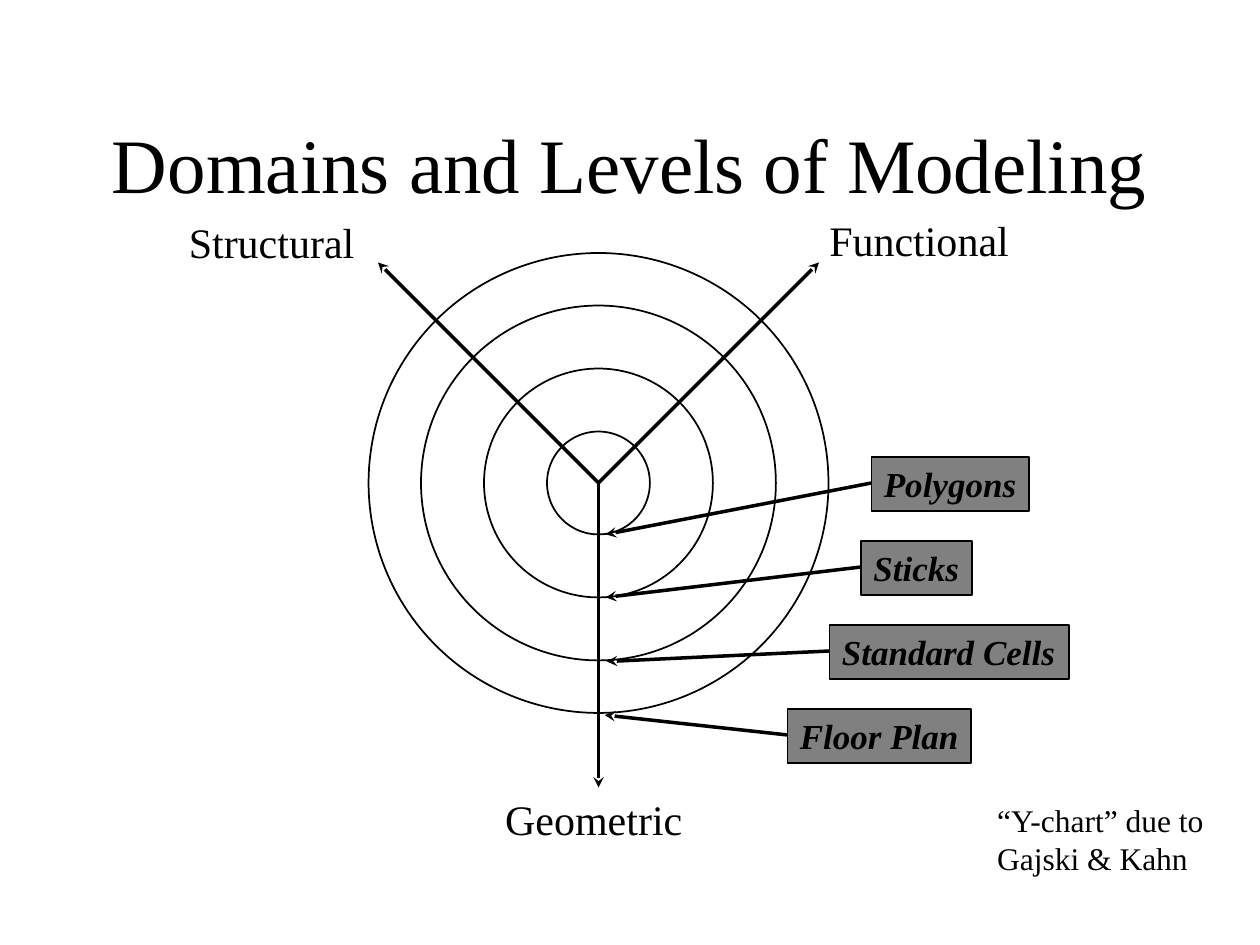
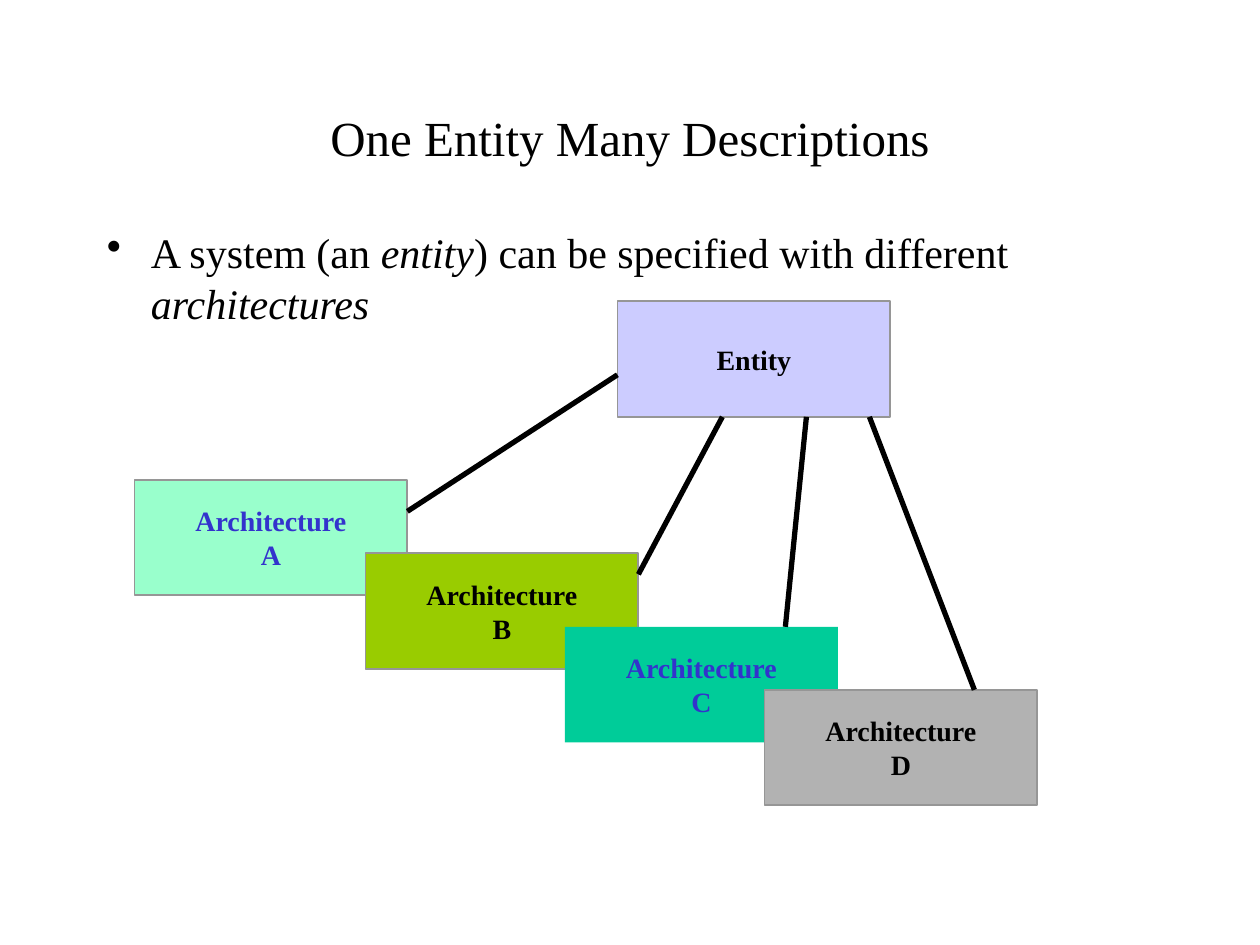
from lxml.etree import SubElement
from pptx import Presentation
from pptx.dml.color import RGBColor
from pptx.enum.shapes import MSO_CONNECTOR, MSO_SHAPE
from pptx.enum.text import MSO_ANCHOR, MSO_AUTO_SIZE, PP_ALIGN
from pptx.oxml.ns import qn
from pptx.util import Inches, Pt

COLOURS = {
    "ink": "000000", "accent": "3333CC", "label": "808080", "border": "969696",
    "entity": "CCCCFF", "mint": "99FFCC", "olive": "99CC00",
    "teal": "00CC99", "grey": "B2B2B2",
}
FONT = "Times New Roman"

deck = Presentation()
deck.slide_width, deck.slide_height = Inches(10), Inches(7.5)
UNIT = deck.slide_width / 120  # the slide is a grid of 120 columns by 90 rows


def add_box(page, area, paragraphs=(), kind=None, fill=None, line=None, colour="ink",
            align=PP_ALIGN.LEFT, frame_format=None, **font_format):
    """Place a text box or preset shape on the grid; spans are (text, italic) pairs."""
    place = [round(value * UNIT) for value in area]
    if kind is None:
        box = page.shapes.add_textbox(*place)
    else:
        box = page.shapes.add_shape(kind, *place)
        box.shadow.inherit = False
        for paint, name in ((box.fill, fill), (box.line.fill, line)):
            if name:
                paint.solid()
                paint.fore_color.rgb = RGBColor.from_string(COLOURS[name])
            else:
                paint.background()
        if line:
            box.line.width = Pt(1)
    frame_values = {"word_wrap": True, "vertical_anchor": MSO_ANCHOR.TOP, **(frame_format or {})}
    for name, value in frame_values.items():
        setattr(box.text_frame, name, value)
    for index, spans in enumerate(paragraphs):
        para = box.text_frame.add_paragraph() if index else box.text_frame.paragraphs[0]
        para.alignment = align
        for text, italic in spans:
            span = para.add_run()
            span.text = text
            span.font.color.rgb = RGBColor.from_string(COLOURS[colour])
            for name, value in {"name": FONT, "italic": italic, **font_format}.items():
                setattr(span.font, name, value)
    return box


def add_line(page, start, end, width, arrow=False):
    """Join two grid points, with an arrowhead at the end if asked for."""
    points = [round(value * UNIT) for value in (*start, *end)]
    connector = page.shapes.add_connector(MSO_CONNECTOR.STRAIGHT, *points)
    connector.line.color.rgb = RGBColor.from_string(COLOURS["ink"])
    connector.line.width = Pt(width)
    if arrow:
        SubElement(connector.line._get_or_add_ln(), qn("a:tailEnd"), type="stealth")
    SubElement(connector._element.spPr, qn("a:effectLst"))


# Pages and their titles
pages = []
for title, height, size in (("Domains and Levels of Modeling", 15, 44),
                            ("One Entity Many Descriptions", 10, 28)):
    page = deck.slides.add_slide(deck.slide_layouts[6])
    add_box(page, (9, 8, 102, height), [[(title, False)]], align=PP_ALIGN.CENTER,
            frame_format={"vertical_anchor": MSO_ANCHOR.MIDDLE}, size=Pt(size))
    pages.append(page)
chart_page, entity_page = pages

# Y-chart: three axes and four levels around one centre
CENTRE_X, CENTRE_Y = 57, 46
for tip in ((78, 25), (36, 25), (57, 75)):
    add_line(chart_page, (CENTRE_X, CENTRE_Y), tip, 2, arrow=True)
for radius in (21.9, 16.9, 10.9, 4.9):
    add_box(chart_page, (CENTRE_X - radius, CENTRE_Y - radius, 2 * radius, 2 * radius),
            kind=MSO_SHAPE.OVAL, line="ink")

# Axis names and credit
grow = {"auto_size": MSO_AUTO_SIZE.SHAPE_TO_FIT_TEXT}
tight = {"word_wrap": False, **grow}
for name, left, top, width, align in (
        ("Functional", 77.8, 19.8, 19.5, PP_ALIGN.LEFT),
        ("Structural", 16.8, 20, 18.3, PP_ALIGN.LEFT),
        ("Geometric", 46.9, 75, 19.3, PP_ALIGN.CENTER)):
    add_box(chart_page, (left, top, width, 6), [[(name, False)]], align=align,
            frame_format=tight, size=Pt(24))
add_box(chart_page, (93.8, 75.7, 25.2, 8.4), [[("“Y-chart” due to Gajski & Kahn", False)]],
        frame_format=grow, size=Pt(18))

# Geometric levels: evenly spaced labels, each pointing at its circle
levels = (
    ("Polygons", 83, 15, (57.7, 50.9)),
    ("Sticks", 82, 10.6, (57.7, 56.9)),
    ("Standard Cells", 79, 22.8, (57.8, 63)),
    ("Floor Plan", 75, 17.5, (57.6, 68.1)),
)
for index, (name, left, width, target) in enumerate(levels):
    middle = CENTRE_Y + 8 * index
    add_line(chart_page, (left, middle), target, 2, arrow=True)
    add_box(chart_page, (left, middle - 2.5, width, 5.2), [[(name, True)]],
            kind=MSO_SHAPE.RECTANGLE, fill="label", line="ink", frame_format=tight,
            size=Pt(20), bold=True)

# Bulleted statement
statement = [("A system (an ", False), ("entity", True),
             (") can be specified with different ", False), ("architectures", True)]
body = add_box(entity_page, (9, 21, 102, 59), [statement], size=Pt(24))
para = body.text_frame.paragraphs[0]
para.space_before = Pt(6)
properties = para._p.get_or_add_pPr()
properties.set("marL", str(Inches(0.35)))
properties.set("indent", str(-Inches(0.35)))
bullet_colour = SubElement(properties, qn("a:buClr"))
SubElement(bullet_colour, qn("a:srgbClr"), val=COLOURS["ink"])
SubElement(properties, qn("a:buChar"), char="•")

# The entity and its overlapping architectures
blocks = (
    (["Entity"], 58.8, 28.7, "entity", "border", "ink"),
    (["Architecture", "A"], 12.8, 45.7, "mint", "border", "accent"),
    (["Architecture", "B"], 34.8, 52.7, "olive", "border", "ink"),
    (["Architecture", "C"], 53.8, 59.7, "teal", None, "accent"),
    (["Architecture", "D"], 72.8, 65.7, "grey", "border", "ink"),
)
for lines, left, top, fill, border, colour in blocks:
    add_box(entity_page, (left, top, 26, 11), [[(text, False)] for text in lines],
            kind=MSO_SHAPE.RECTANGLE, fill=fill, line=border, colour=colour,
            align=PP_ALIGN.CENTER, size=Pt(16), bold=True,
            frame_format={"word_wrap": False, "vertical_anchor": MSO_ANCHOR.MIDDLE})

# Links from the entity to each architecture
for start, end in (((58.8, 35.7), (38.8, 48.7)), ((68.8, 39.7), (60.8, 54.7)),
                   ((76.8, 39.7), (74.8, 59.7)), ((82.8, 39.7), (92.8, 65.7))):
    add_line(entity_page, start, end, 3)

deck.save("out.pptx")
